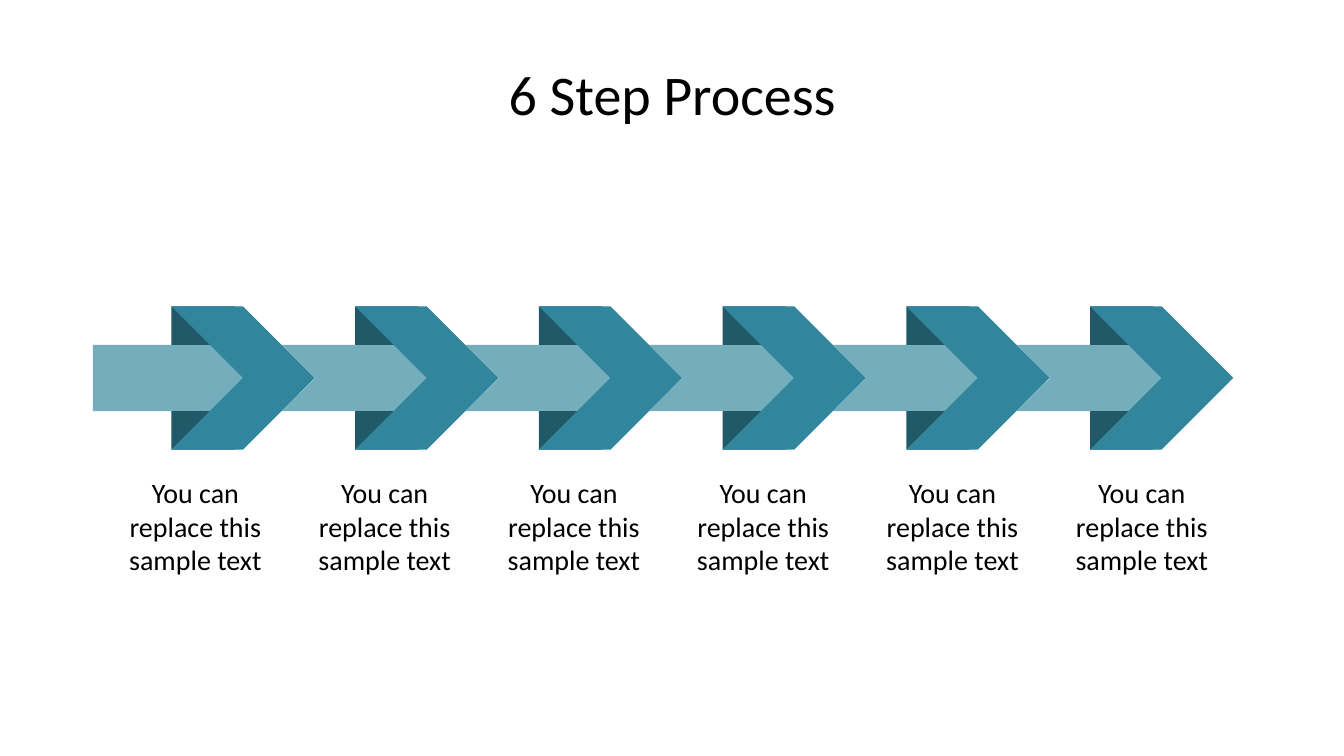
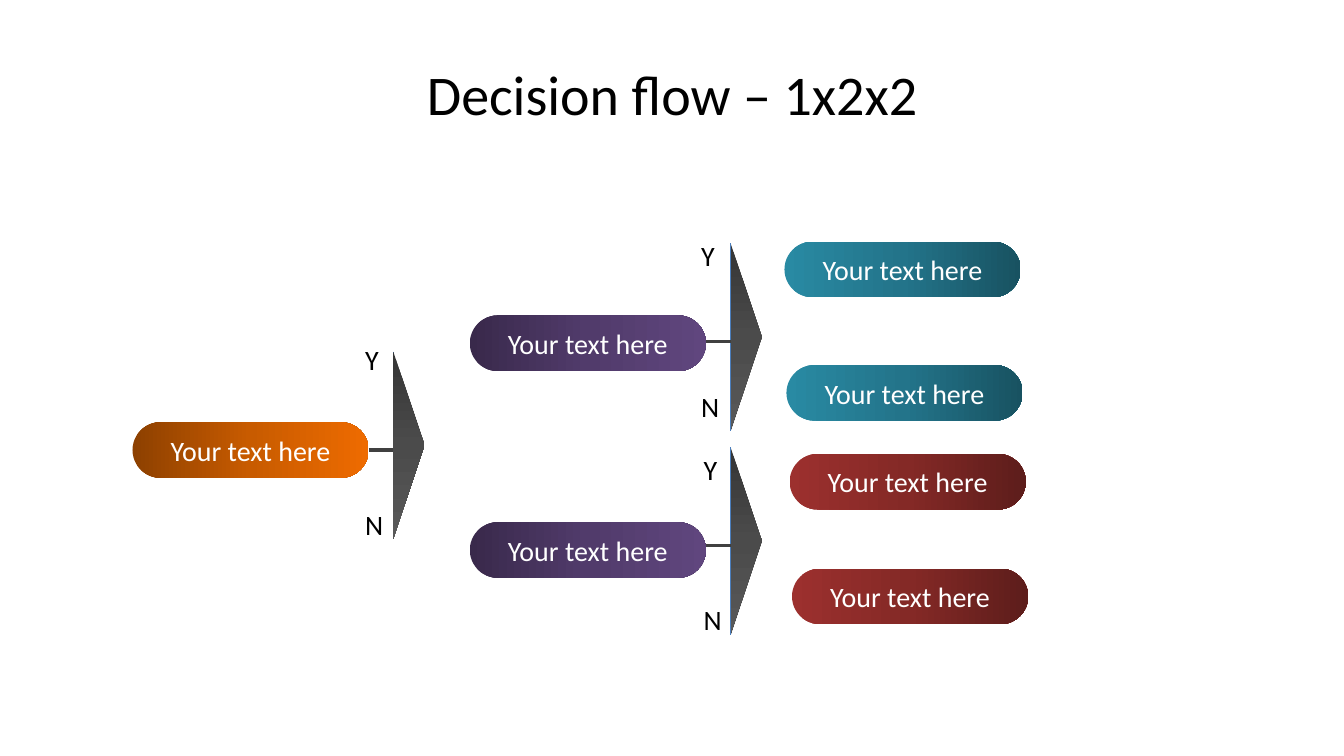
from copy import deepcopy

from pptx import Presentation
from pptx.dml.color import RGBColor
from pptx.enum import shapes, text
from pptx.oxml.ns import qn
from pptx.oxml.xmlchemy import OxmlElement
from pptx.util import Cm, Pt

FONT = "Calibri"
BLACK = RGBColor(0x00, 0x00, 0x00)
WHITE = RGBColor(0xFF, 0xFF, 0xFF)
TEAL = RGBColor(0x31, 0x85, 0x9C)
DEEP = RGBColor(0x21, 0x59, 0x68)
GREY = RGBColor(0x40, 0x40, 0x40)
BLUE = RGBColor(0x4B, 0x7E, 0xBC)

# Gradients run from left to right
SEA = [RGBColor(0x29, 0x8A, 0xA3), RGBColor(0x23, 0x74, 0x8A), RGBColor(0x18, 0x52, 0x61)]
RED = [RGBColor(0x9C, 0x30, 0x2E), RGBColor(0x84, 0x29, 0x26), RGBColor(0x5D, 0x1D, 0x1B)]
ORANGE = [RGBColor(0x8D, 0x40, 0x00), RGBColor(0xC8, 0x5B, 0x00), RGBColor(0xEE, 0x6B, 0x00)]
PURPLE = [RGBColor(0x39, 0x29, 0x4B), RGBColor(0x51, 0x3B, 0x6B), RGBColor(0x60, 0x46, 0x7E)]
SLATE = [RGBColor(0x35, 0x35, 0x35), RGBColor(0x4B, 0x4B, 0x4B), RGBColor(0x59, 0x59, 0x59)]

KIND = shapes.MSO_SHAPE
LEFT, CENTER = text.PP_ALIGN.LEFT, text.PP_ALIGN.CENTER
TOP, MIDDLE = text.MSO_ANCHOR.TOP, text.MSO_ANCHOR.MIDDLE


class Deck:
    def __init__(self):
        self.prs = Presentation()
        self.prs.slide_width, self.prs.slide_height = Cm(33.87), Cm(19.05)
        self.slide = None

    def page(self, title):
        """Start a slide with its title."""
        self.slide = self.prs.slides.add_slide(self.prs.slide_layouts[6])
        self.label(title, 1.7, 0.76, 30.48, 3.18, size=40, anchor=MIDDLE)

    def letter(self, shape, words, size, color, align, anchor):
        """Put styled words into a shape."""
        frame = shape.text_frame
        frame.text = words
        frame.word_wrap = True
        frame.vertical_anchor = anchor
        line = frame.paragraphs[0]
        line.alignment = align
        font = line.runs[0].font
        font.name, font.size, font.color.rgb = FONT, Pt(size), color

    def label(self, words, x, y, w, h, size=20, align=CENTER, anchor=TOP):
        box = self.slide.shapes.add_textbox(Cm(x), Cm(y), Cm(w), Cm(h))
        self.letter(box, words, size, BLACK, align, anchor)

    def paint(self, shape, fill):
        """Fill with one colour or a list of three gradient stops."""
        shape.shadow.inherit = False
        shape.line.fill.background()
        if isinstance(fill, RGBColor):
            shape.fill.solid()
            shape.fill.fore_color.rgb = fill
            return
        shape.fill.gradient()
        shape.fill.gradient_angle = 0
        stops = shape._element.spPr.find(".//" + qn("a:gsLst"))
        stops.insert(1, deepcopy(stops[0]))
        for stop, color, place in zip(shape.fill.gradient_stops, fill, (0, 0.5, 1)):
            stop.color.rgb = color
            stop.position = place

    def shape(self, kind, x, y, w, h, fill):
        item = self.slide.shapes.add_shape(kind, Cm(x), Cm(y), Cm(w), Cm(h))
        self.paint(item, fill)
        return item

    def outline(self, points, fill, alpha):
        """Draw a closed polygon; alpha is its opacity in percent."""
        spots = [(Cm(x), Cm(y)) for x, y in points]
        pen = self.slide.shapes.build_freeform(*spots[0])
        pen.add_line_segments(spots[1:], close=True)
        item = pen.convert_to_shape()
        self.paint(item, fill)
        tone = OxmlElement("a:alpha")
        tone.set("val", str(alpha * 1000))
        item._element.spPr.find(".//" + qn("a:srgbClr")).append(tone)

    def line(self, x1, y1, x2, y2, color, width):
        item = self.slide.shapes.add_connector(
            shapes.MSO_CONNECTOR.STRAIGHT, Cm(x1), Cm(y1), Cm(x2), Cm(y2))
        item.line.color.rgb, item.line.width = color, Pt(width)
        item._element.spPr.append(OxmlElement("a:effectLst"))

    def pill(self, x, y, fill):
        item = self.shape(KIND.ROUNDED_RECTANGLE, x, y, 5.95, 1.4, fill)
        item.adjustments[0] = 0.5
        self.letter(item, "Your text here", 20, WHITE, CENTER, MIDDLE)

    def step(self, x, first):
        """Draw a chevron at x, wrapped around its piece of the band."""
        top, low, mid = 8.69, 10.36, 9.53
        tail = [(2.34, low), (2.34, top)] if first else [
            (x - 1.85, low), (x - 1.01, mid), (x - 1.85, top)]
        self.outline(tail + [(x + 0.99, top), (x + 1.83, mid), (x + 0.99, low)], TEAL, 67)
        for y in (7.72, low):
            self.shape(KIND.RECTANGLE, x, y, 1.6, 0.97, DEEP)
        self.shape(KIND.CHEVRON, x, 7.72, 3.61, 3.61, TEAL)

    def branch(self, x, y, fill, top, side, yes, no):
        """Draw a pill, its fork starting at top, and the Y and N labels."""
        fork, tall, thick = x + 6.57, 4.72, 0.79
        self.pill(x, y, fill)
        self.line(fork, top, fork, top + tall, BLUE, 0.75)
        self.line(x + 5.95, top + 2.48, fork, top + 2.48, GREY, 2.25)
        wedge = self.shape(KIND.ISOSCELES_TRIANGLE, fork + (thick - tall) / 2,
                           top + (tall - thick) / 2, tall, thick, SLATE)
        wedge.rotation = 90
        for mark, place in (("Y", yes), ("N", no)):
            self.label(mark, side, place, 0.97, 1.11, align=LEFT)


def main():
    deck = Deck()

    deck.page("6 Step Process")
    for i in range(6):
        deck.step(4.32 + 4.63 * i, i == 0)
        deck.label("You can replace this sample text", 2.46 + 4.77 * i, 11.86, 4.93, 2.82)

    deck.page("Decision flow – 1x2x2")
    for x, y, fill in ((19.77, 6.09, SEA), (19.82, 9.2, SEA),
                       (19.9, 11.44, RED), (19.96, 14.33, RED)):
        deck.pill(x, y, fill)
    deck.branch(3.34, 10.64, ORANGE, 8.86, 8.95, 8.51, 12.67)
    deck.branch(11.84, 7.95, PURPLE, 6.13, 17.42, 5.89, 9.68)
    deck.branch(11.84, 13.16, PURPLE, 11.27, 17.48, 11.28, 15.06)

    deck.prs.save("out.pptx")


if __name__ == "__main__":
    main()
